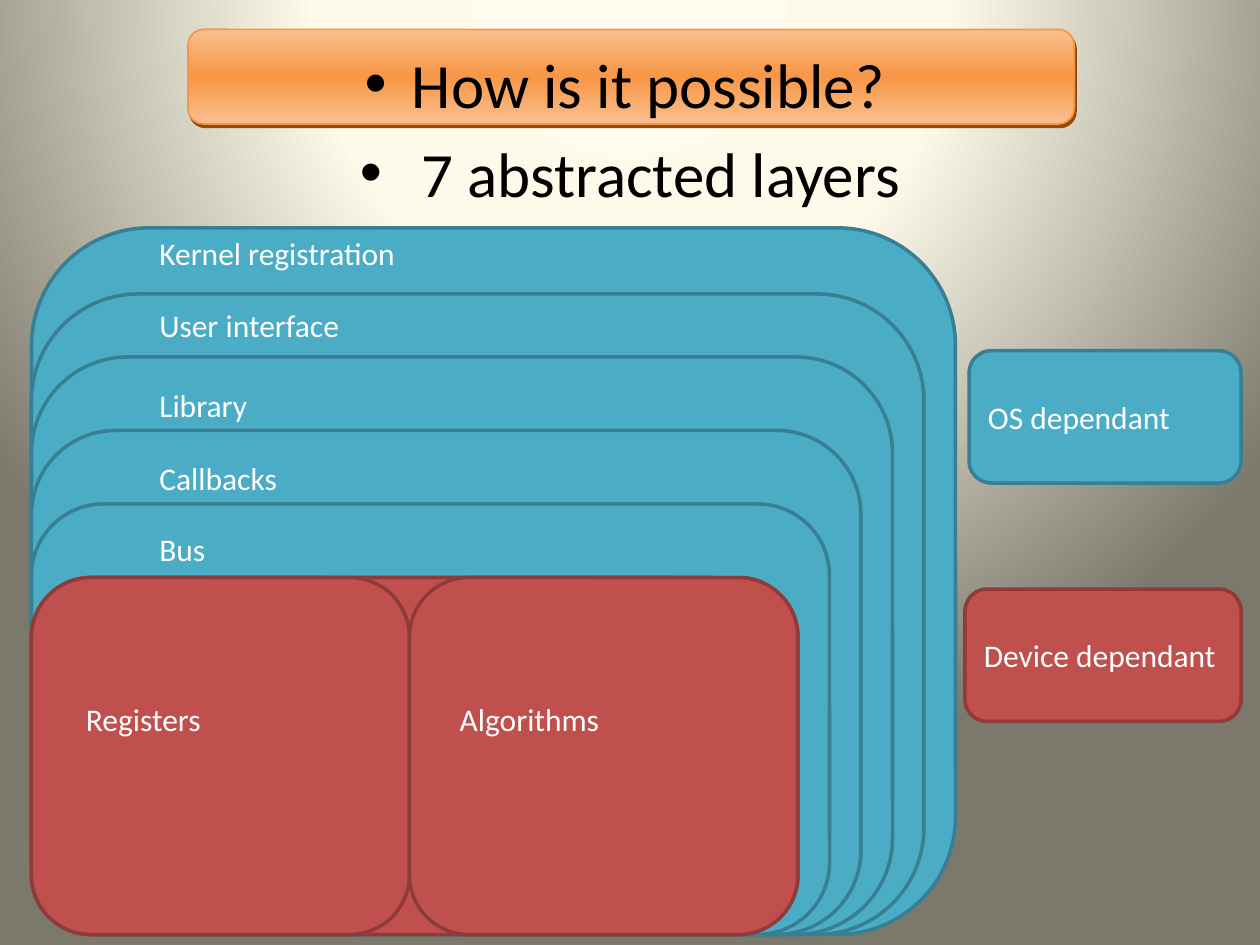
from lxml import etree
from pptx import Presentation
from pptx import util as u
from pptx.dml.color import RGBColor
from pptx.enum import shapes, text
from pptx.oxml import parse_xml
from pptx.oxml.ns import nsdecls, qn

COLUMNS, ROWS = 120, 90
WIDTH, HEIGHT = u.Inches(10), u.Inches(7.5)
BLUE, RED = ("4BACC6", "377F92"), ("C0504D", "8E3B39")
LEFT, BOTTOM = 3, 89


def color(value):
    return RGBColor.from_string(value)


def grid(column, row, columns, rows):
    return [int(part) for part in (column * WIDTH / COLUMNS, row * HEIGHT / ROWS,
                                   columns * WIDTH / COLUMNS, rows * HEIGHT / ROWS)]


def gradient(stops, direction):
    marks = "".join(f'<a:gs pos="{share * 1000}"><a:srgbClr val="{value}"/></a:gs>'
                    for share, value in stops)
    return parse_xml(f'<a:gradFill {nsdecls("a")} rotWithShape="1">'
                     f'<a:gsLst>{marks}</a:gsLst>{direction}</a:gradFill>')


def swap_fill(parent, new_fill):
    parent.replace(parent.find(qn("a:solidFill")), new_fill)


def write(shape, words, size=18, ink="FFFFFF", bullet=False):
    frame = shape.text_frame
    frame.word_wrap = True
    para = frame.paragraphs[0]
    para.alignment = text.PP_ALIGN.CENTER if bullet else text.PP_ALIGN.LEFT
    span = para.add_run()
    span.text = words
    for name, value in {"name": "Calibri", "size": u.Pt(size)}.items():
        setattr(span.font, name, value)
    span.font.color.rgb = color(ink)
    if bullet:
        props = para._p.get_or_add_pPr()
        for name, value in {"marL": 342900, "indent": -342900}.items():
            props.set(name, str(value))
        etree.SubElement(props, qn("a:buFont")).set("typeface", "Arial")
        etree.SubElement(props, qn("a:buChar")).set("char", "•")


def add_label(page, place, words, **style):
    box = page.shapes.add_textbox(*grid(*place))
    write(box, words, **style)


def add_panel(page, place, colors, words=None, line_width=2):
    panel = page.shapes.add_shape(shapes.MSO_SHAPE.ROUNDED_RECTANGLE, *grid(*place))
    panel.shadow.inherit = False
    panel.fill.solid()
    panel.fill.fore_color.rgb = color(colors[0])
    panel.line.color.rgb = color(colors[1])
    panel.line.width = u.Pt(line_width)
    if words:
        panel.text_frame.vertical_anchor = text.MSO_ANCHOR.MIDDLE
        write(panel, words)
    return panel


def paint_background(page):
    page.background.fill.solid()
    glow = gradient([(0, "FEFCEE"), (40, "FDFAEA"), (100, "7B796B")],
                    '<a:path path="circle"><a:fillToRect l="50000" t="-80000" '
                    'r="50000" b="180000"/></a:path>')
    swap_fill(page._element.find(".//" + qn("p:bgPr")), glow)


def add_heading(page):
    banner = add_panel(page, (17.9, 2.8, 84.4, 9), ("F79646", "F79646"), line_width=1)
    props = banner._element.spPr
    swap_fill(props, gradient([(0, "FABF8F"), (50, "F79646"), (100, "FABF8F")],
                              '<a:lin ang="5400000" scaled="0"/>'))
    effects = props.find(qn("a:effectLst"))
    effects.append(parse_xml(
        f'<a:outerShdw {nsdecls("a")} blurRad="0" dist="28000" dir="3780000" '
        'algn="ctr" rotWithShape="0"><a:srgbClr val="974706"/></a:outerShdw>'))
    lines = [((18.7, 3.7, 81.6, 8.5), "How is it possible?"),
             ((0, 12.2, 120, 8.5), " 7 abstracted layers")]
    for place, words in lines:
        add_label(page, place, words, size=36, ink="000000", bullet=True)


def add_layers(page):
    # Each layer is three columns narrower than the one behind it
    tops = [21.7, 28, 34, 41, 48, 55]
    for depth, top in enumerate(tops):
        colors = RED if top == tops[-1] else BLUE
        add_panel(page, (LEFT, top, 88 - 3 * depth, BOTTOM - top), colors)
    labels = {"Kernel registration": 21.7, "User interface": 28.6, "Library": 36.2,
              "Callbacks": 43.1, "Bus": 49.9}
    for words, row in labels.items():
        add_label(page, (14, row, 84, 4.8), words)
    # The innermost layer holds two halves
    halves = [("Registers", LEFT, 36, 7), ("Algorithms", 39, 37, 42.6)]
    for words, column, columns, label_column in halves:
        add_panel(page, (column, tops[-1], columns, BOTTOM - tops[-1]), RED)
        add_label(page, (label_column, 66.1, 25.8, 4.8), words)


def add_legend(page):
    add_panel(page, (92.3, 33.4, 25.9, 12.6), BLUE, "OS dependant")
    add_panel(page, (91.9, 56.1, 26.3, 12.6), RED, "Device dependant")


def main():
    deck = Presentation()
    deck.slide_width, deck.slide_height = WIDTH, HEIGHT
    page = deck.slides.add_slide(deck.slide_layouts[6])
    paint_background(page)
    add_heading(page)
    add_layers(page)
    add_legend(page)
    deck.save("out.pptx")


main()
